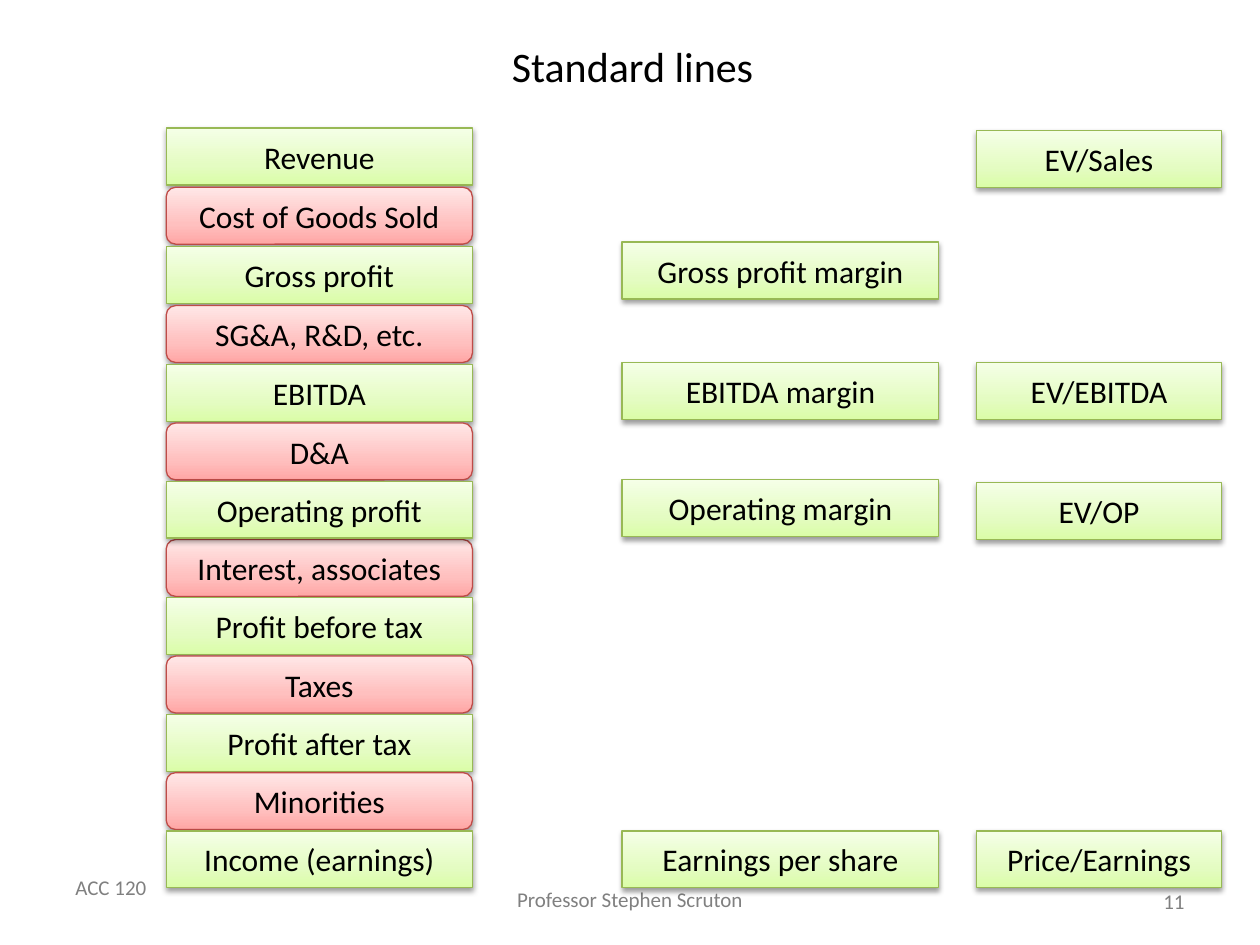
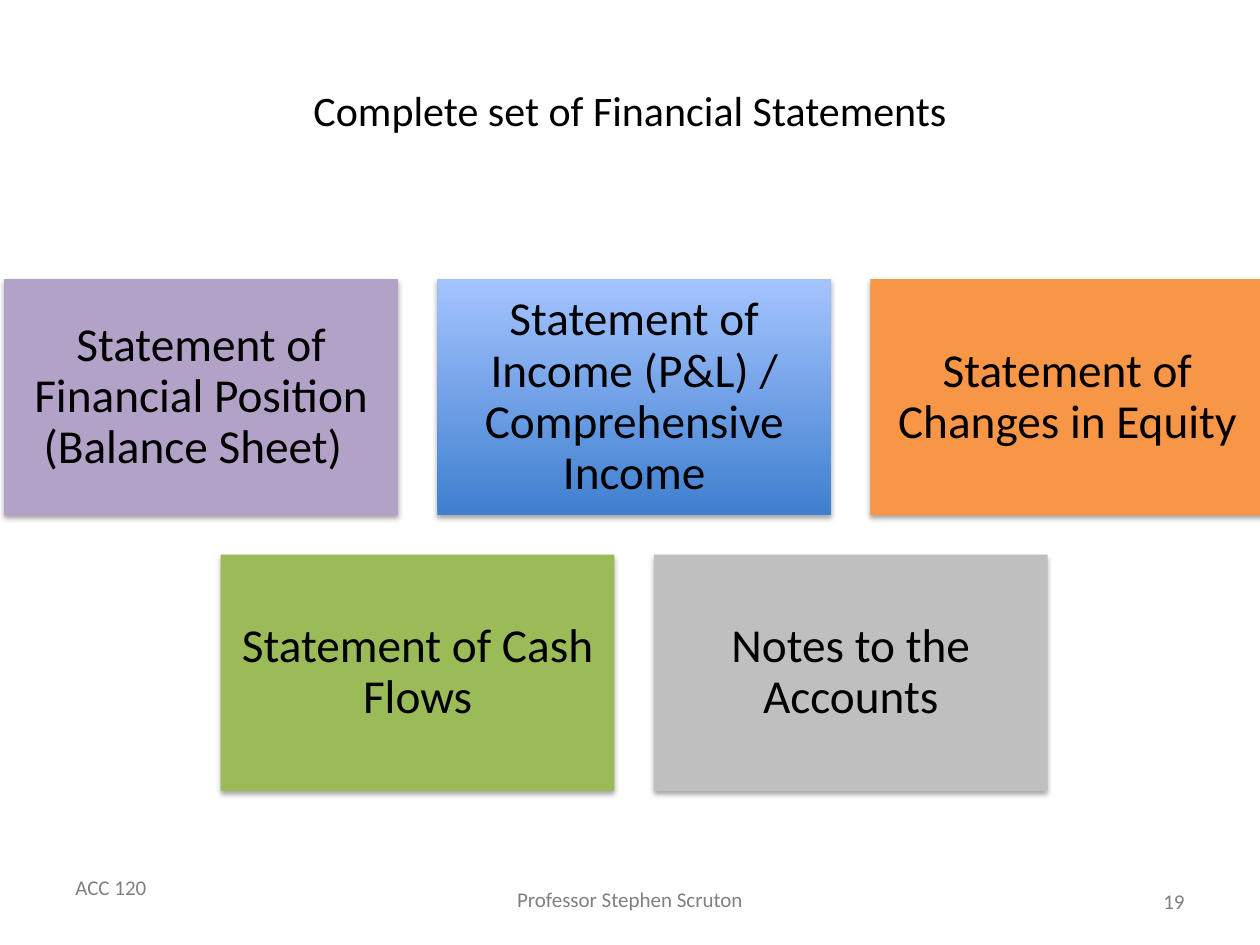
"""Build two accounting slides: income statement lines with ratios, and the set of financial statements."""
from dataclasses import dataclass

from lxml.etree import SubElement
from pptx import Presentation
from pptx.dml.color import RGBColor
from pptx.enum.shapes import MSO_SHAPE as Shape
from pptx.enum.text import MSO_ANCHOR as Anchor, PP_ALIGN as Align
from pptx.oxml.ns import qn
from pptx.util import Pt

LINES_TITLE = "Standard lines"
INCOME_LINES = [
    "Revenue", "Cost of Goods Sold", "Gross profit", "SG&A, R&D, etc.", "EBITDA", "D&A",
    "Operating profit", "Interest, associates", "Profit before tax", "Taxes",
    "Profit after tax", "Minorities", "Income (earnings)",
]
MARGINS = [
    ("Gross profit margin", "Gross profit", -2.5),
    ("EBITDA margin", "EBITDA", -1.3),
    ("Operating margin", "Operating profit", -0.8),
    ("Earnings per share", "Income (earnings)", 0),
]
MULTIPLES = [
    ("EV/Sales", "Revenue", 1.5),
    ("EV/EBITDA", "EBITDA", -1.3),
    ("EV/OP", "Operating profit", 0.8),
    ("Price/Earnings", "Income (earnings)", 0),
]
STATEMENTS_TITLE = "Complete set of Financial Statements"
STATEMENT_ROWS = [
    [("Statement of Financial Position (Balance Sheet)\t", "purple"),
     ("Statement of Income (P&L) / Comprehensive Income", "blue"),
     ("Statement of Changes in Equity", "orange")],
    [("Statement of Cash Flows", "green"), ("Notes to the Accounts", "grey")],
]
COURSE, TEACHER = "ACC 120", "Professor Stephen Scruton"


@dataclass(frozen=True)
class Theme:
    font = "Calibri"
    ink, muted = "000000", "808080"
    title_size, line_size, statement_size, footer_size = 24, 18, 27, 12
    profit = [(0, "DAFDA7"), (35, "E4FCC2"), (100, "F5FFE7")]
    cost = [(0, "FFA6A5"), (35, "FFC0BF"), (100, "FFE7E7")]
    profit_edge, cost_edge = "98B955", "BF4C48"
    statements = {
        "purple": [(0, "B3A2C7")], "blue": [(0, "3F7FCE"), (100, "A4C4FF")],
        "orange": [(0, "F79646")], "green": [(0, "9BBB59")], "grey": [(0, "BFBFBF")],
    }


THEME = Theme()
LINE_TOP, LINE_HEIGHT = 73.2, 32.5
LINE_COLUMN, MARGIN_COLUMN, MULTIPLE_COLUMN = (95, 175), (355.5, 181), (558, 140)
CARD_WIDTH, CARD_HEIGHT, CARD_GAP = 225, 135, 22.5
CARDS_CENTRE, CARDS_TOP = 362.4, 159.5


def write(frame, text, size, color=THEME.ink, align=Align.CENTER, anchor=Anchor.MIDDLE,
          wrap=True, spacing=None, inset=None):
    """Put one formatted paragraph into a text frame."""
    frame.word_wrap, frame.vertical_anchor = wrap, anchor
    if inset is not None:
        frame.margin_left = frame.margin_right = Pt(inset)
        frame.margin_top = frame.margin_bottom = Pt(inset)
    paragraph = frame.paragraphs[0]
    paragraph.alignment, paragraph.line_spacing = align, spacing
    run = paragraph.add_run()
    run.text = text
    run.font.name, run.font.size = THEME.font, Pt(size)
    run.font.color.rgb = RGBColor.from_string(color)


def paint(fill, stops):
    """Fill with one colour, or with a gradient that rises from the bottom."""
    if len(stops) == 1:
        fill.solid()
        fill.fore_color.rgb = RGBColor.from_string(stops[0][1])
        return
    fill.gradient()
    fill.gradient_angle = 90
    stop_list = fill._fill._gradFill.find(qn("a:gsLst"))
    stop_list.clear()
    for position, color in stops:
        stop = SubElement(stop_list, qn("a:gs"), pos=str(position * 1000))
        SubElement(stop, qn("a:srgbClr"), val=color)


def cast_shadow(shape, opacity, distance):
    """Give a shape a soft shadow straight below it."""
    shape.shadow.inherit = False
    effects = shape._element.spPr.find(qn("a:effectLst"))
    shadow = SubElement(effects, qn("a:outerShdw"), blurRad=str(Pt(3.1)),
                        dist=str(Pt(distance)), dir="5400000", rotWithShape="0")
    black = SubElement(shadow, qn("a:srgbClr"), val="000000")
    SubElement(black, qn("a:alpha"), val=str(opacity * 1000))


def add_box(slide, box, stops, edge=None, kind=Shape.RECTANGLE, opacity=38, distance=1.6):
    """Add a filled, shadowed shape and return its text frame."""
    shape = slide.shapes.add_shape(kind, *map(Pt, box))
    paint(shape.fill, stops)
    if edge:
        shape.line.color.rgb = RGBColor.from_string(edge)
        shape.line.width = Pt(0.75)
    else:
        shape.line.fill.background()
    cast_shadow(shape, opacity, distance)
    return shape.text_frame


def add_page(deck, title, title_box, number):
    """Add a slide with its title and the shared footer."""
    slide = deck.slides.add_slide(deck.slide_layouts[5])
    heading = slide.shapes.title
    heading.left, heading.top, heading.width, heading.height = map(Pt, title_box)
    write(heading.text_frame, title, THEME.title_size)
    footers = [
        (COURSE, (36, 496, 55.5, 21.6), Align.LEFT, Anchor.TOP, False),
        (TEACHER, (287.3, 503.3, 145.4, 21.6), Align.CENTER, Anchor.TOP, False),
        (number, (516, 500.6, 168, 28.8), Align.RIGHT, Anchor.MIDDLE, True),
    ]
    for text, box, align, anchor, wrap in footers:
        frame = slide.shapes.add_textbox(*map(Pt, box)).text_frame
        write(frame, text, THEME.footer_size, THEME.muted, align, anchor, wrap)
    return slide


def add_line(slide, text, column, line, nudge=0, is_cost=False):
    """Add one box of a column, level with an income line."""
    row = INCOME_LINES.index(line)
    left, width = column
    top = LINE_TOP + 33.3 * row + 0.5 * min(row, 4) + nudge
    stops, edge, kind = (
        (THEME.cost, THEME.cost_edge, Shape.FLOWCHART_ALTERNATE_PROCESS) if is_cost
        else (THEME.profit, THEME.profit_edge, Shape.RECTANGLE))
    frame = add_box(slide, (left, top, width, LINE_HEIGHT), stops, edge, kind)
    write(frame, text, THEME.line_size)


def build_lines(deck):
    """Build the income lines, with margins and multiples beside them."""
    slide = add_page(deck, LINES_TITLE, (55.5, 12.5, 612, 50.4), "11")
    for row in (*range(7, len(INCOME_LINES)), *range(7)):
        line = INCOME_LINES[row]
        add_line(slide, line, LINE_COLUMN, line, is_cost=row % 2 == 1)
    for column, ratios in ((MARGIN_COLUMN, MARGINS), (MULTIPLE_COLUMN, MULTIPLES)):
        for ratio, line, nudge in ratios:
            add_line(slide, ratio, column, line, nudge)


def build_statements(deck):
    """Build the centred rows of statement cards."""
    slide = add_page(deck, STATEMENTS_TITLE, (54, 37.6, 612, 50.4), "19")
    pitch = CARD_WIDTH + CARD_GAP
    for row, statements in enumerate(STATEMENT_ROWS):
        start = CARDS_CENTRE - (len(statements) * pitch - CARD_GAP) / 2
        top = CARDS_TOP + row * (CARD_HEIGHT + CARD_GAP)
        for column, (statement, color) in enumerate(statements):
            box = (start + column * pitch, top, CARD_WIDTH, CARD_HEIGHT)
            frame = add_box(slide, box, THEME.statements[color], opacity=35, distance=1.8)
            write(frame, statement, THEME.statement_size, spacing=0.9, inset=8)


def main():
    """Build and save the deck."""
    deck = Presentation()
    deck.slide_width, deck.slide_height = Pt(720), Pt(540)
    build_lines(deck)
    build_statements(deck)
    deck.save("out.pptx")


if __name__ == "__main__":
    main()
